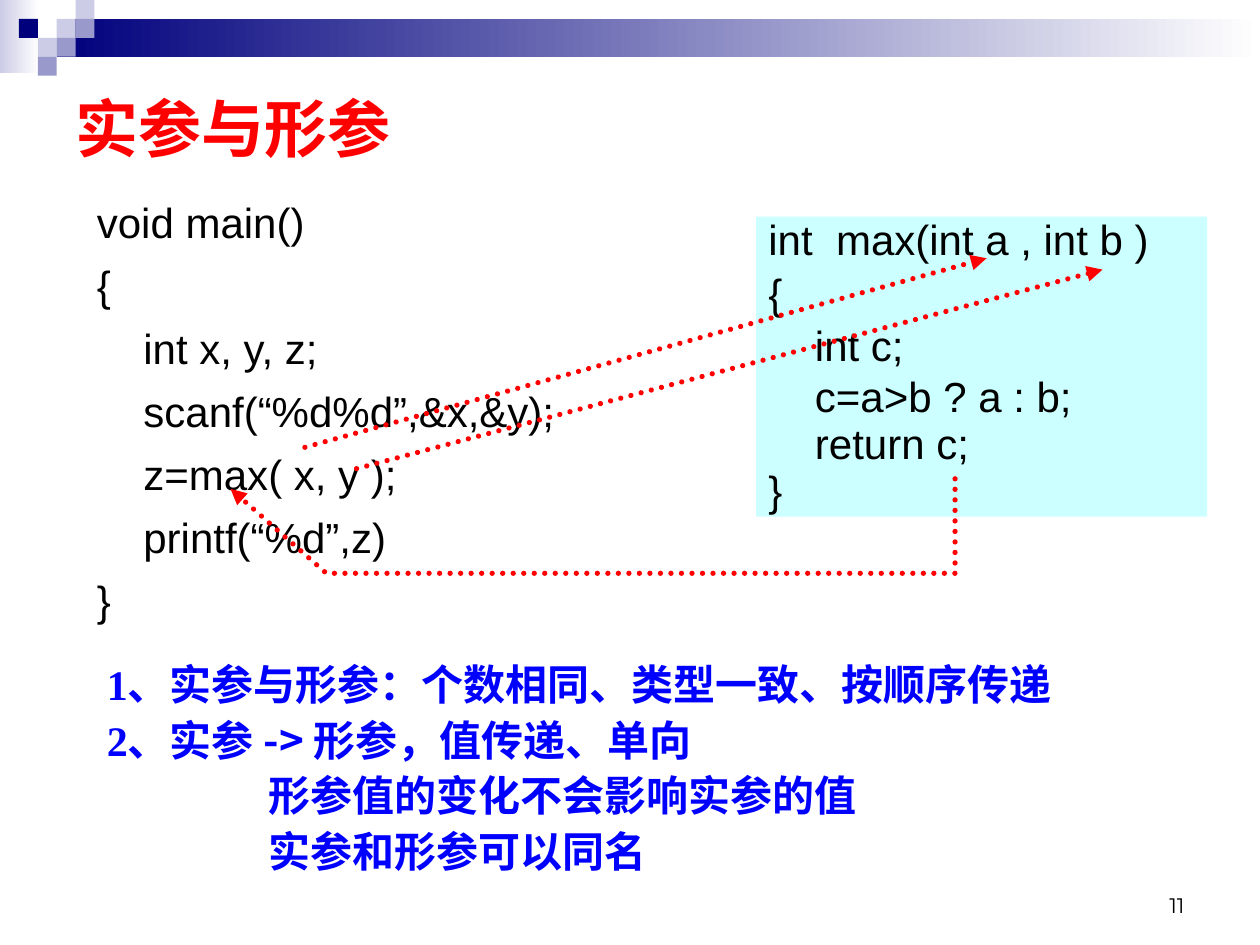
from lxml import etree
from pptx import Presentation
from pptx.dml.color import RGBColor
from pptx.enum import dml, shapes, text
from pptx.oxml import ns
from pptx.util import Inches, Pt

NAVY = RGBColor(0x00, 0x00, 0x7D)
LILAC = RGBColor(0xCC, 0xCC, 0xE6)
VIOLET = RGBColor(0x99, 0x99, 0xCC)
WHITE = RGBColor(0xFF, 0xFF, 0xFF)
BLACK = RGBColor(0x00, 0x00, 0x00)
RED = RGBColor(0xFF, 0x00, 0x00)
BLUE = RGBColor(0x00, 0x00, 0xFF)
CYAN = RGBColor(0xCC, 0xFF, 0xFF)
CJK_FONT = "Noto Sans CJK SC"


def add_span(para, words, **font_format):
    span = para.add_run()
    span.text = words
    for name, value in font_format.items():
        if name == "color":
            span.font.color.rgb = value
        else:
            setattr(span.font, name, value)
    east_asian = etree.SubElement(span.font._element, ns.qn("a:ea"))
    east_asian.set("typeface", CJK_FONT)


def style_arrow(arrow):
    """Give a line red round dots and an arrowhead at its end."""
    arrow.line.color.rgb = RED
    arrow.line.width = Pt(3)
    arrow.line.dash_style = dml.MSO_LINE.ROUND_DOT
    outline = arrow.line._get_or_add_ln()
    outline.set("cap", "rnd")
    etree.SubElement(outline, ns.qn("a:tailEnd")).set("type", "triangle")
    if not arrow._element.spPr.findall(ns.qn("a:effectLst")):
        etree.SubElement(arrow._element.spPr, ns.qn("a:effectLst"))


deck = Presentation()
deck.slide_width, deck.slide_height = Inches(10), Inches(7.5)
page = deck.slides.add_slide(deck.slide_layouts[5])

# Header band: two fading bars and a stair of small squares
BANDS = [
    (0, 0, 0.31, 0.58, LILAC, WHITE),
    (0.45, 0.15, 9.55, 0.3, NAVY, WHITE),
]
SIDE = 0.15
SQUARES = [(3, 1, LILAC), (4, 0, LILAC), (4, 1, VIOLET), (2, 2, LILAC),
           (1, 1, NAVY), (3, 2, VIOLET), (2, 3, VIOLET)]
BANDS += [(column * SIDE, row * SIDE, SIDE, SIDE, color, None)
          for column, row, color in SQUARES]
for left, top, width, height, color, fade in BANDS:
    band = page.shapes.add_shape(
        shapes.MSO_SHAPE.RECTANGLE,
        Inches(left), Inches(top), Inches(width), Inches(height))
    band.shadow.inherit = False
    band.line.fill.background()
    if fade is None:
        band.fill.solid()
        band.fill.fore_color.rgb = color
    else:
        band.fill.gradient()
        band.fill.gradient_angle = 0
        for stop, stop_color, position in zip(band.fill.gradient_stops, (color, fade), (0, 1)):
            stop.color.rgb = stop_color
            stop.position = position

# Title
title = page.shapes.title
title.left, title.top = Inches(0.5), Inches(0.55)
title.width, title.height = Inches(8.5), Inches(0.92)
title.text_frame.vertical_anchor = text.MSO_ANCHOR.MIDDLE
heading = title.text_frame.paragraphs[0]
heading.alignment = text.PP_ALIGN.LEFT
add_span(heading, "实参与形参", size=Pt(36), bold=True, name="Arial", color=RED)

# Code panels: position, fill, top inset, space before, (line, line spacing)
CODE_PANELS = [
    ((0.67, 1.47, 4.42, 3.4), WHITE, 0.09, 7.2, [
        ("void main()", 1),
        ("{", 1),
        ("    int x, y, z;", 1),
        ("    scanf(“%d%d”,&x,&y);", 1),
        ("    z=max( x, y );", 1),
        ("    printf(“%d”,z)", 1),
        ("}", 1),
    ]),
    ((6, 1.72, 3.58, 2.38), CYAN, 0.05, 15, [
        ("int  max(int a , int b )", 0.8),
        ("{", 0.5),
        ("    int c;", 0.5),
        ("    c=a>b ? a : b;", 0.5),
        ("    return c;", 0.4),
        ("}", 0.4),
    ]),
]
for place, color, inset, gap, code_lines in CODE_PANELS:
    panel = page.shapes.add_shape(
        shapes.MSO_SHAPE.RECTANGLE, *(Inches(length) for length in place))
    panel.shadow.inherit = False
    panel.line.fill.background()
    panel.fill.solid()
    panel.fill.fore_color.rgb = color
    frame = panel.text_frame
    frame.margin_top = Inches(inset)
    frame.vertical_anchor = text.MSO_ANCHOR.TOP
    for index, (code, spacing) in enumerate(code_lines):
        para = frame.add_paragraph() if index else frame.paragraphs[0]
        para.alignment = text.PP_ALIGN.LEFT
        para.line_spacing = spacing
        para.space_before = Pt(gap if index else 0)
        add_span(para, code, size=Pt(24), name="Arial", color=BLACK)

# Rules: indent in inches, then (words, font) pairs
RULES = [
    (0, [("1、实参与形参：个数相同、类型一致、按顺序传递", "Times New Roman")]),
    (0, [("2、", "Times New Roman"), ("实参 -> 形参，值传递、单向", CJK_FONT)]),
    (1.28, [("形参值的变化不会影响实参的值", CJK_FONT)]),
    (1.28, [("实参和形参可以同名", CJK_FONT)]),
]
rules_box = page.shapes.add_textbox(Inches(0.75), Inches(5.22), Inches(9.08), Inches(1.92))
rules_box.text_frame.word_wrap = True
for index, (indent, spans) in enumerate(RULES):
    frame = rules_box.text_frame
    para = frame.add_paragraph() if index else frame.paragraphs[0]
    para.line_spacing = 0.9
    para.space_before = Pt(6 if index else 0)
    para._p.get_or_add_pPr().set("marL", str(Inches(indent)))
    for words, font_name in spans:
        add_span(para, words, size=Pt(24), bold=True, name=font_name, color=BLUE)

# Return value flows back to the call
route = page.shapes.build_freeform(Inches(7.58), Inches(3.8))
route.add_line_segments(
    [(Inches(x), Inches(y)) for x, y in [(7.58, 4.55), (2.59, 4.55), (1.83, 3.88)]],
    close=False)
return_arrow = route.convert_to_shape()
return_arrow.fill.background()
return_arrow.shadow.inherit = False
style_arrow(return_arrow)

# Arguments flow into the parameters
for start_x, start_y, end_x, end_y in [(2.42, 3.55, 7.83, 2.05), (2.83, 3.72, 8.75, 2.14)]:
    argument_arrow = page.shapes.add_connector(
        shapes.MSO_CONNECTOR.STRAIGHT,
        Inches(start_x), Inches(start_y), Inches(end_x), Inches(end_y))
    style_arrow(argument_arrow)

# Page number
number_box = page.shapes.add_textbox(Inches(7.17), Inches(6.83), Inches(2.33), Inches(0.5))
number_box.text_frame.word_wrap = True
number_box.text_frame.vertical_anchor = text.MSO_ANCHOR.BOTTOM
number = number_box.text_frame.paragraphs[0]
number.alignment = text.PP_ALIGN.RIGHT
add_span(number, "11", size=Pt(12), name="Montserrat", color=BLACK)

deck.save("out.pptx")
